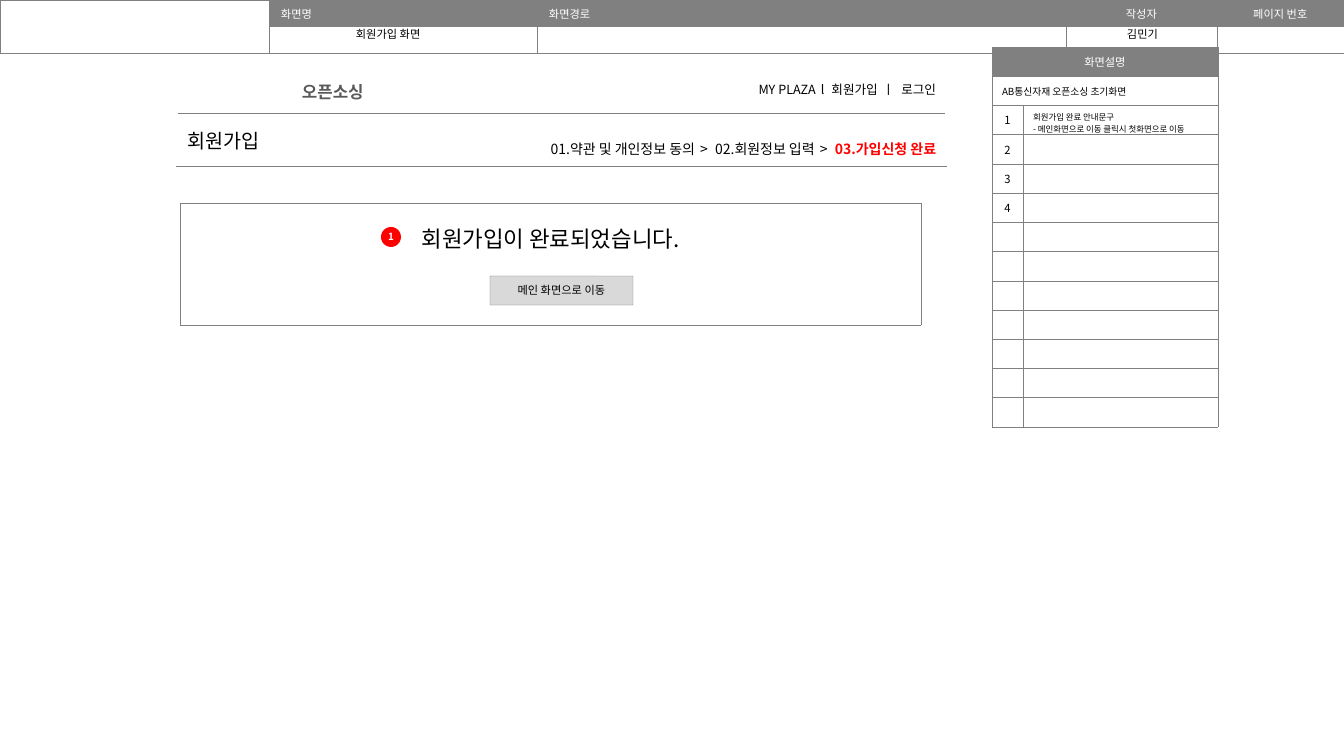
"""Build the sign-up completion wireframe slide."""
import lxml.etree
import pptx
import pptx.dml.color
import pptx.enum.shapes
import pptx.enum.text
import pptx.oxml.ns
import pptx.util

PX = 12192000 / 1344
FONT = "Noto Sans CJK KR"
RGB = pptx.dml.color.RGBColor
BLACK = RGB(0x00, 0x00, 0x00)
WHITE = RGB(0xFF, 0xFF, 0xFF)
GRAY = RGB(0x80, 0x80, 0x80)
DARK = RGB(0x59, 0x59, 0x59)
LIGHT = RGB(0xD9, 0xD9, 0xD9)
RED = RGB(0xFF, 0x00, 0x00)
LEFT, CENTER, RIGHT = (pptx.enum.text.PP_ALIGN.LEFT, pptx.enum.text.PP_ALIGN.CENTER,
                       pptx.enum.text.PP_ALIGN.RIGHT)
TOP, MIDDLE = pptx.enum.text.MSO_ANCHOR.TOP, pptx.enum.text.MSO_ANCHOR.MIDDLE
ROUND = pptx.enum.shapes.MSO_SHAPE.ROUNDED_RECTANGLE
qn = pptx.oxml.ns.qn


def write(tf, text, size, color=BLACK, align=LEFT, bold=False):
    """Fill a text frame with lines of one font."""
    tf.word_wrap = True
    for i, line in enumerate(text.split("\n")):
        p = tf.paragraphs[0] if i == 0 else tf.add_paragraph()
        p.alignment = align
        p.font.name = FONT
        p.font.size = pptx.util.Pt(size)
        p.font.bold = bold
        p.font.color.rgb = color
        lxml.etree.SubElement(p._p.pPr.find(qn("a:defRPr")), qn("a:ea"), typeface=FONT)
        if line:
            p.add_run().text = line
        else:
            lxml.etree.SubElement(p._p, qn("a:endParaRPr"), sz=str(size * 100))


def grid(x, y, widths, height, rows, anchor=MIDDLE, sides=(GRAY, 0.25)):
    """Add a plain table with equal rows and thin borders."""
    tbl = s.shapes.add_table(rows, len(widths), *[round(v * PX) for v in (x, y, sum(widths), height)]).table
    tbl.first_row = tbl.horz_banding = False
    for col, width in zip(tbl.columns, widths):
        col.width = round(width * PX)
    for cell in tbl.iter_cells():
        cell.vertical_anchor = anchor
        for tag in ("lnL", "lnR", "lnT", "lnB"):
            color, weight = sides if tag in ("lnL", "lnR") else (GRAY, 0.25)
            ln = lxml.etree.SubElement(cell._tc.get_or_add_tcPr(), qn("a:" + tag), w=str(int(weight * 12700)))
            fill = lxml.etree.SubElement(ln, qn("a:solidFill"))
            lxml.etree.SubElement(fill, qn("a:srgbClr"), val=str(color))
        cell.fill.solid()
        cell.fill.fore_color.rgb = WHITE
    return tbl


prs = pptx.Presentation()
prs.slide_width, prs.slide_height = round(1344 * PX), round(756 * PX)
s = prs.slides.add_slide(prs.slide_layouts[6])

header = grid(0, 0, (269, 268, 529, 151, 127), 53, 2, TOP)
header.cell(0, 0).merge(header.cell(1, 0))
titles = ("", "화면명", "화면경로", "작성자", "페이지 번호")
for col, title in enumerate(titles):
    for row, text in enumerate((title, "")):
        cell = header.cell(row, col)
        cell.margin_left = cell.margin_right = round(12 * PX)
        write(cell.text_frame, text, 8, WHITE, CENTER if col > 2 else LEFT)
    if title:
        header.cell(0, col).fill.fore_color.rgb = GRAY

heading = grid(177, 113, (769,), 53, 1, sides=(WHITE, 1))
write(heading.cell(0, 0).text_frame, "회원가입", 14)

done = grid(180, 203, (741,), 122, 1).cell(0, 0)
done.margin_left = done.margin_right = done.margin_top = round(4 * PX)
done.margin_bottom = round(56 * PX)
write(done.text_frame, "회원가입이 완료되었습니다.", 16, align=CENTER)

for x, y, w, h, text, size, color, align, bold in (
    (1066, 22, 153, 24, "김민기", 8, BLACK, CENTER, False),
    (346, 22, 217, 24, "회원가입 화면", 8, BLACK, LEFT, False),
    (292, 77, 89, 30, "오픈소싱", 12, DARK, LEFT, True),
):
    tb = s.shapes.add_textbox(*[round(v * PX) for v in (x, y, w, h)])
    write(tb.text_frame, text, size, color, align, bold)

for y, size, separators, parts in (
    (134, 10, (" > ", " > "), ("01.약관 및 개인정보 동의", "02.회원정보 입력", "03.가입신청 완료")),
    (74, 9, (" l ", " ㅣ "), ("MY PLAZA", "회원가입", "로그인")),
):
    tb = s.shapes.add_textbox(*[round(v * PX) for v in (475, y, 471, 30)])
    tf = tb.text_frame
    tf.vertical_anchor = MIDDLE
    write(tf, parts[0], size, align=RIGHT)
    p = tf.paragraphs[0]
    for separator, part in zip(separators, parts[1:]):
        r = p.add_run()
        r.text = separator
        r._r.get_or_add_rPr().set("spc", "150")
        r = p.add_run()
        r.text = part
        if part.startswith("03"):
            r.font.bold = True
            r.font.color.rgb = RED

for x, y, w, h, radius, fill, text, size, color, bold in (
    (490, 276, 143, 29, 0.02, LIGHT, "메인 화면으로 이동", 8, BLACK, False),
    (381, 227, 20, 20, 0.5, RED, "1", 7, WHITE, True),
):
    sp = s.shapes.add_shape(ROUND, *[round(v * PX) for v in (x, y, w, h)])
    sp.adjustments[0] = radius
    sp.shadow.inherit = False
    sp.fill.solid()
    sp.fill.fore_color.rgb = fill
    if fill == LIGHT:
        sp.line.color.rgb = GRAY
        sp.line.width = pptx.util.Pt(0.25)
    else:
        sp.line.fill.background()
    tf = sp.text_frame
    tf.margin_left = tf.margin_right = tf.margin_top = tf.margin_bottom = 0
    tf.vertical_anchor = MIDDLE
    write(tf, text, size, color, CENTER, bold)

notes = grid(992, 47, (31, 195), 380, 13)
for row in range(2):
    notes.cell(row, 0).merge(notes.cell(row, 1))
notes.cell(0, 0).fill.fore_color.rgb = GRAY
write(notes.cell(0, 0).text_frame, "화면설명", 8, WHITE, CENTER)
write(notes.cell(1, 0).text_frame, "AB통신자재 오픈소싱 초기화면", 7)
for row in range(2):
    write(notes.cell(row, 1).text_frame, "", 6)
for row in range(2, 13):
    number = row - 1
    text = "회원가입 완료 안내문구\n- 메인화면으로 이동 클릭시 첫화면으로 이동" if number == 1 else ""
    write(notes.cell(row, 0).text_frame, str(number) if number < 5 else "", 8, align=CENTER)
    write(notes.cell(row, 1).text_frame, text, 6)
notes.cell(2, 1).margin_bottom = 0

prs.save("out.pptx")
